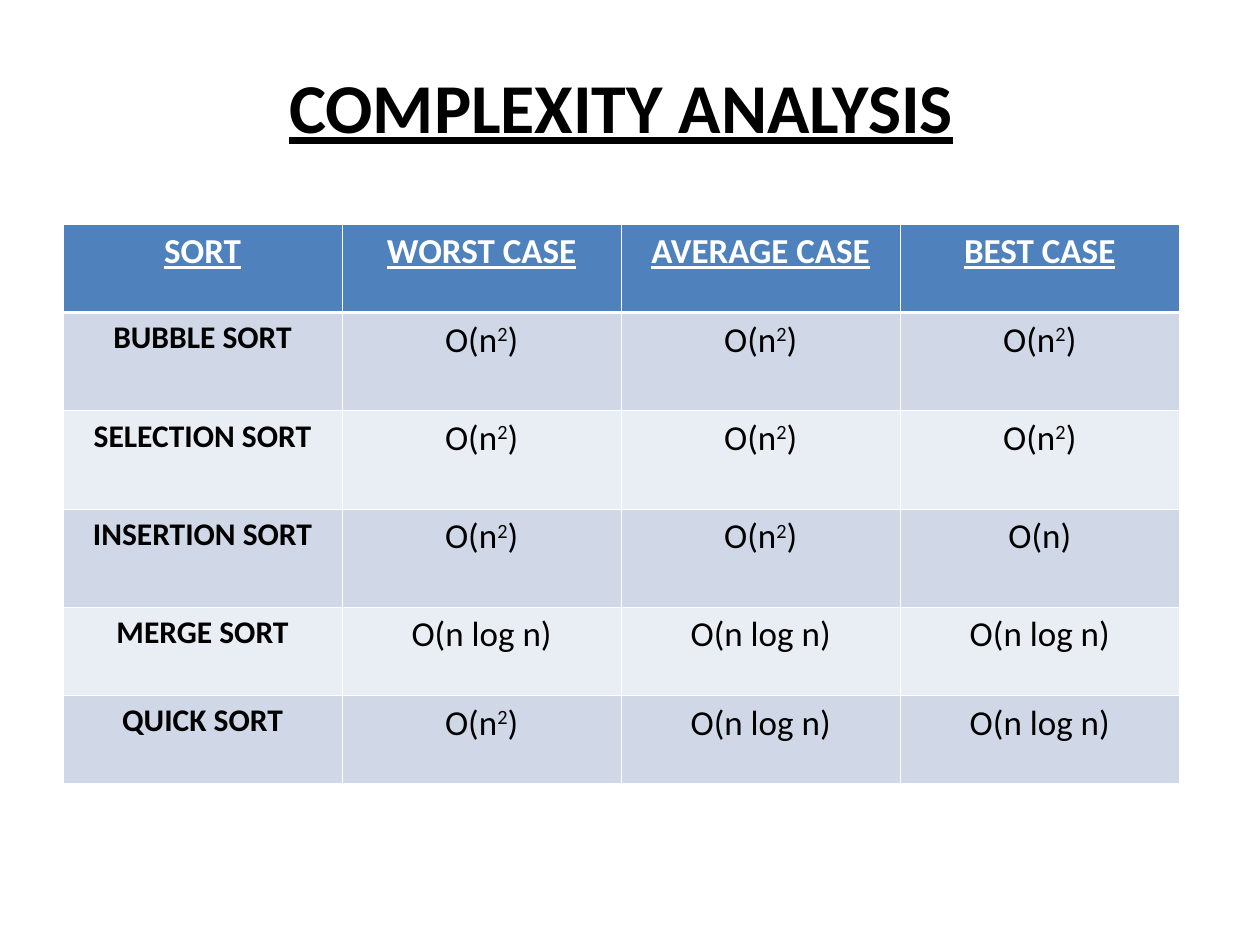
import pptx
import pptx.util
import pptx.dml.color
import pptx.enum.text
import pptx.oxml
import pptx.oxml.ns

Inches = pptx.util.Inches
Pt = pptx.util.Pt
HUES = {"ink": "000000", "paper": "FFFFFF", "head": "4F81BD",
        "dark": "D0D8E8", "light": "E9EDF4"}
TITLE = {"size": Pt(40), "bold": True, "underline": True}
HEAD = {"size": Pt(20), "bold": True, "underline": True}
NAME = {"size": Pt(18), "bold": True}
COST = {"size": Pt(20), "bold": False}
THIN, THICK = 0.45, 1.47
SQUARE, LOG = "O(n^2)", "O(n log n)"
HEADS = ["SORT", "WORST CASE", "AVERAGE CASE", "BEST CASE"]
SORTS = [
    ["BUBBLE SORT", SQUARE, SQUARE, SQUARE],
    ["SELECTION SORT", SQUARE, SQUARE, SQUARE],
    ["INSERTION SORT", SQUARE, SQUARE, "O(n)"],
    ["MERGE SORT", LOG, LOG, LOG],
    ["QUICK SORT", SQUARE, LOG, LOG],
]
HEIGHTS = [0.7, 0.78, 0.78, 0.78, 0.7, 0.7]


class Deck:
    def __init__(self):
        self.file = pptx.Presentation()
        self.file.slide_width = Inches(10)
        self.file.slide_height = Inches(7.5)
        self.slide = self.file.slides.add_slide(self.file.slide_layouts[5])
        self.font = "Calibri"

    def hue(self, name):
        return pptx.dml.color.RGBColor.from_string(HUES[name])

    def text(self, frame, words, style, ink):
        para = frame.paragraphs[0]
        para.alignment = pptx.enum.text.PP_ALIGN.CENTER
        base, caret, rest = words.partition("^")
        for part, raised in ((base, False), (rest[:1], True), (rest[1:], False)):
            if not part:
                continue
            run = para.add_run()
            run.text = part
            run.font.name = self.font
            run.font.color.rgb = self.hue(ink)
            for key, value in style.items():
                setattr(run.font, key, value)
            if raised:
                run._r.get_or_add_rPr().set("baseline", "30000")

    def title(self, words, left, top, width, height):
        shape = self.slide.shapes.title
        box = {"left": left, "top": top, "width": width, "height": height}
        for key, value in box.items():
            setattr(shape, key, Inches(value))
        shape.text_frame.vertical_anchor = pptx.enum.text.MSO_ANCHOR.MIDDLE
        self.text(shape.text_frame, words, TITLE, "ink")

    def edge(self, cell, side, width):
        line = pptx.oxml.parse_xml(
            f'<a:ln{side} {pptx.oxml.ns.nsdecls("a")} w="{int(Pt(width))}">'
            f'<a:solidFill><a:srgbClr val="{HUES["paper"]}"/></a:solidFill>'
            f'</a:ln{side}>')
        cell._tc.get_or_add_tcPr().append(line)

    def cell(self, cell, words, row, col):
        for side in "LRTB":
            thick = (row, side) in ((0, "B"), (1, "T"))
            self.edge(cell, side, THICK if thick else THIN)
        fill = "head" if row == 0 else "dark" if row % 2 else "light"
        cell.fill.solid()
        cell.fill.fore_color.rgb = self.hue(fill)
        style = HEAD if row == 0 else COST if col else NAME
        self.text(cell.text_frame, words, style, "ink" if row else "paper")

    def table(self, rows, heights, left, top, width):
        grid = self.slide.shapes.add_table(
            len(rows), len(rows[0]), Inches(left), Inches(top),
            Inches(width), Inches(sum(heights))).table
        for row, (line, height) in enumerate(zip(rows, heights)):
            grid.rows[row].height = Inches(height)
            for col, words in enumerate(line):
                self.cell(grid.cell(row, col), words, row, col)


def main():
    deck = Deck()
    deck.title("COMPLEXITY ANALYSIS", 0.5, 0.5, 8.86, 0.67)
    deck.table([HEADS] + SORTS, HEIGHTS, 0.5, 1.78, 8.86)
    deck.file.save("out.pptx")


if __name__ == "__main__":
    main()
